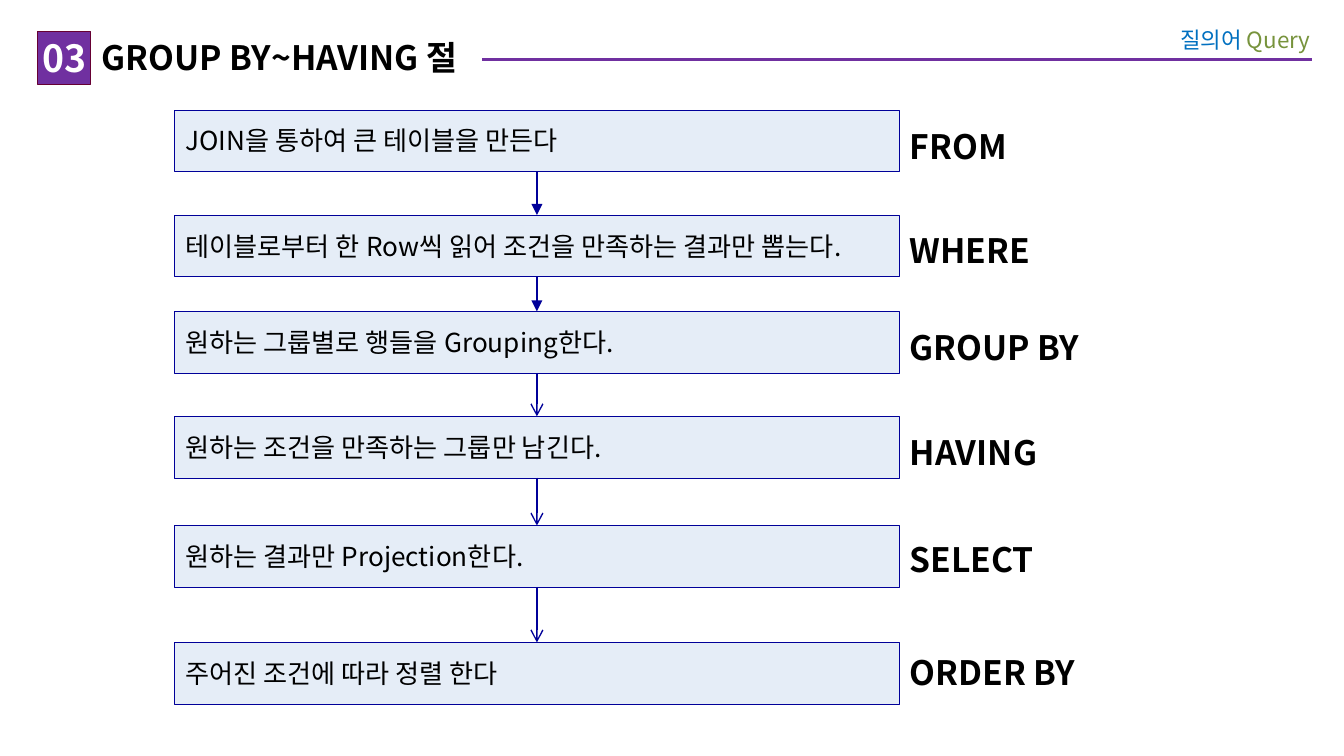
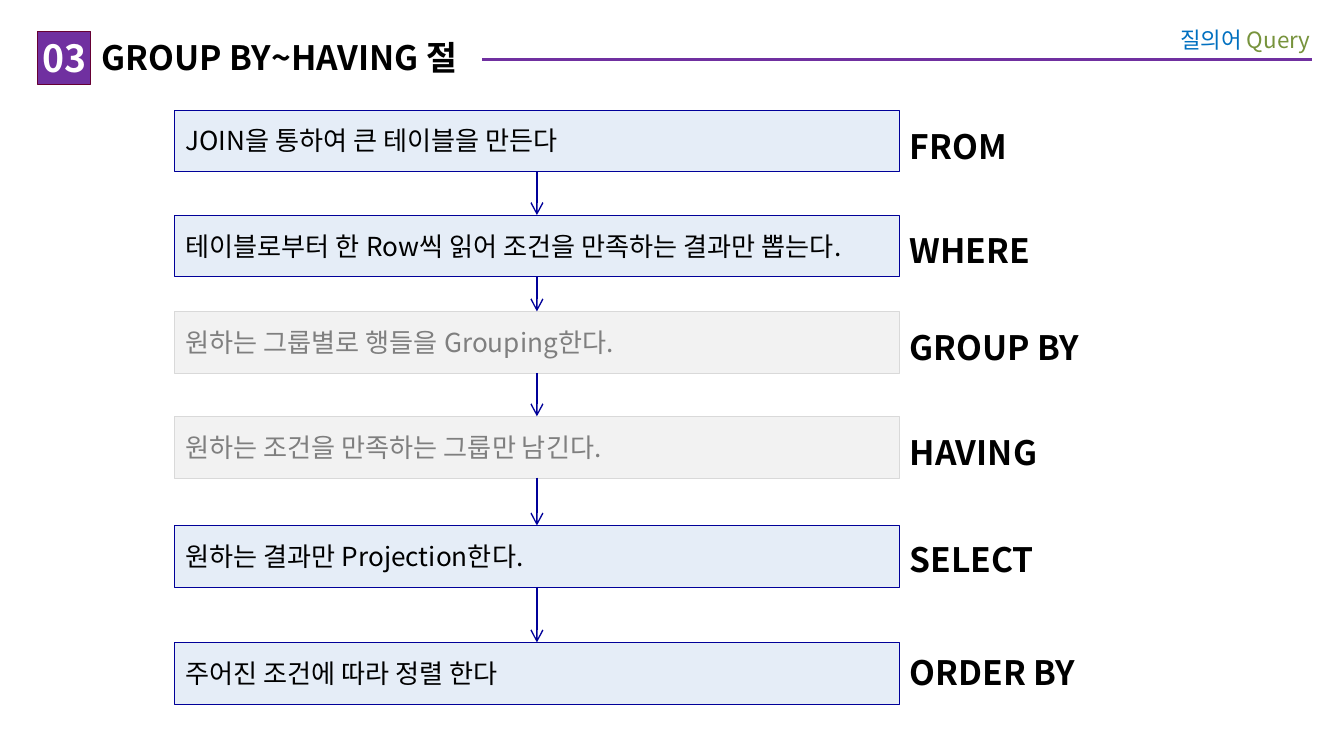
from lxml.etree import SubElement
from pptx import Presentation
from pptx.dml.color import RGBColor
from pptx.enum.shapes import MSO_CONNECTOR as Link, MSO_SHAPE as Shape
from pptx.enum.text import MSO_ANCHOR as Anchor, MSO_AUTO_SIZE as Fit, PP_ALIGN as Align
from pptx.oxml.ns import qn
from pptx.util import Inches, Pt

CELL = Inches(0.1)
COLUMNS, ROWS = 100, 56.25

PURPLE = RGBColor(0x70, 0x30, 0xA0)
PLUM = RGBColor(0x66, 0x00, 0x33)
BLUE = RGBColor(0x00, 0x70, 0xC0)
GREEN = RGBColor(0x77, 0x93, 0x3C)
NAVY = RGBColor(0x00, 0x00, 0x99)
PALE_BLUE = RGBColor(0xE5, 0xED, 0xF7)
PALE_GRAY = RGBColor(0xF2, 0xF2, 0xF2)
LIGHT_GRAY = RGBColor(0xD9, 0xD9, 0xD9)
GRAY = RGBColor(0x7F, 0x7F, 0x7F)
BLACK = RGBColor(0x00, 0x00, 0x00)
WHITE = RGBColor(0xFF, 0xFF, 0xFF)

FONT = "Noto Sans CJK KR"
HEADING = {"size": Pt(18), "bold": True}
NUMBER = {"size": Pt(20), "bold": True}
BODY = {"size": Pt(14)}
SMALL = {"size": Pt(12)}

ACTIVE = (PALE_BLUE, NAVY, BLACK)
SKIPPED = (PALE_GRAY, LIGHT_GRAY, GRAY)

STEP_LEFT, STEP_WIDTH, STEP_HEIGHT = 13, 53.9, 4.57
LABEL_LEFT, LABEL_WIDTH, LABEL_HEIGHT = 66.7, 19.1, 4

STEPS = [
    ("FROM", "JOIN을 통하여 큰 테이블을 만든다", 8.17, 8.85),
    ("WHERE", "테이블로부터 한 Row씩 읽어 조건을 만족하는 결과만 뽑는다.", 16, 16.65),
    ("GROUP BY", "원하는 그룹별로 행들을 Grouping한다.", 23.17, 23.8),
    ("HAVING", "원하는 조건을 만족하는 그룹만 남긴다.", 30.98, 31.65),
    ("SELECT", "원하는 결과만 Projection한다.", 39.1, 39.6),
    ("ORDER BY", "주어진 조건에 따라 정렬 한다", 47.8, 48),
]

SLIDES = [
    (["triangle"] * 2 + ["arrow"] * 3, set()),
    (["arrow"] * 5, {"GROUP BY", "HAVING"}),
]


def grid(*cells):
    return [round(cell * CELL) for cell in cells]


def apply(target, values):
    for name, value in values.items():
        setattr(target, name, value)


def write(box, spans, style, insets, align=Align.LEFT, **frame_values):
    frame = box.text_frame
    sides = ("margin_left", "margin_top", "margin_right", "margin_bottom")
    apply(frame, {"word_wrap": True, **dict(zip(sides, grid(*insets))), **frame_values})
    para = frame.paragraphs[0]
    para.alignment = align
    for text, colour in spans:
        span = para.add_run()
        span.text = text
        apply(span.font, {"name": FONT, **style})
        span.font.color.rgb = colour
        SubElement(span.font._element, qn("a:ea"), typeface=FONT)


def add_text(page, place, spans, style, insets, align=Align.LEFT):
    box = page.shapes.add_textbox(*grid(*place))
    write(box, spans, style, insets, align, auto_size=Fit.SHAPE_TO_FIT_TEXT)
    return box


def add_box(page, kind, place, fill, border):
    box = page.shapes.add_shape(kind, *grid(*place))
    box.shadow.inherit = False
    box.fill.solid()
    box.fill.fore_color.rgb = fill
    box.line.color.rgb = border
    box.line.width = Pt(0.25)
    return box


def add_line(page, ends, colour, width):
    line = page.shapes.add_connector(Link.STRAIGHT, *grid(*ends))
    line.line.color.rgb = colour
    line.line.width = Pt(width)
    SubElement(line._element.spPr, qn("a:effectLst"))
    return line


def add_arrow(page, upper, lower, head):
    arrow = add_line(page, (0, 0, 0, 0), NAVY, 0.75)
    arrow.begin_connect(upper, 2)
    arrow.end_connect(lower, 0)
    SubElement(arrow.line._get_or_add_ln(), qn("a:tailEnd"), type=head)


def add_header(page):
    add_line(page, (97.6, 4.4, 7.1, 4.4), PURPLE, 1.5)
    add_text(page, (83.1, 1.15, 15.4, 3.6), [("질의어 ", BLUE), ("Query", GREEN)],
             SMALL, (1, 0.8, 1, 0.8), Align.RIGHT)
    title = add_text(page, (6.75, 2.35, 29.1, 3.8), [("GROUP BY~HAVING 절", BLACK)],
                     HEADING, (0.8, 0.4, 0, 0.4))
    title.fill.solid()
    title.fill.fore_color.rgb = WHITE
    number = add_box(page, Shape.RECTANGLE, (2.8, 2.33, 3.94, 3.94), PURPLE, PLUM)
    write(number, [("03", WHITE)], NUMBER, (0, 0, 0, 0), Align.CENTER,
          vertical_anchor=Anchor.MIDDLE)


def add_step(page, text, top, palette):
    fill, border, ink = palette
    box = add_box(page, Shape.FLOWCHART_PROCESS,
                  (STEP_LEFT, top, STEP_WIDTH, STEP_HEIGHT), fill, border)
    write(box, [(text, ink)], BODY, (0.8, 0, 0, 0),
          vertical_anchor=Anchor.MIDDLE, word_wrap=False)
    return box


def add_flow(page, heads, skipped):
    boxes = []
    for clause, text, top, label_top in STEPS:
        boxes.append(add_step(page, text, top, SKIPPED if clause in skipped else ACTIVE))
        add_text(page, (LABEL_LEFT, label_top, LABEL_WIDTH, LABEL_HEIGHT),
                 [(clause, BLACK)], HEADING, (1, 0.5, 1, 0.5))
    for upper, lower, head in zip(boxes, boxes[1:], heads):
        add_arrow(page, upper, lower, head)


def main():
    deck = Presentation()
    deck.slide_width, deck.slide_height = grid(COLUMNS, ROWS)
    for heads, skipped in SLIDES:
        page = deck.slides.add_slide(deck.slide_layouts[6])
        add_header(page)
        add_flow(page, heads, skipped)
    deck.save("out.pptx")


if __name__ == "__main__":
    main()
